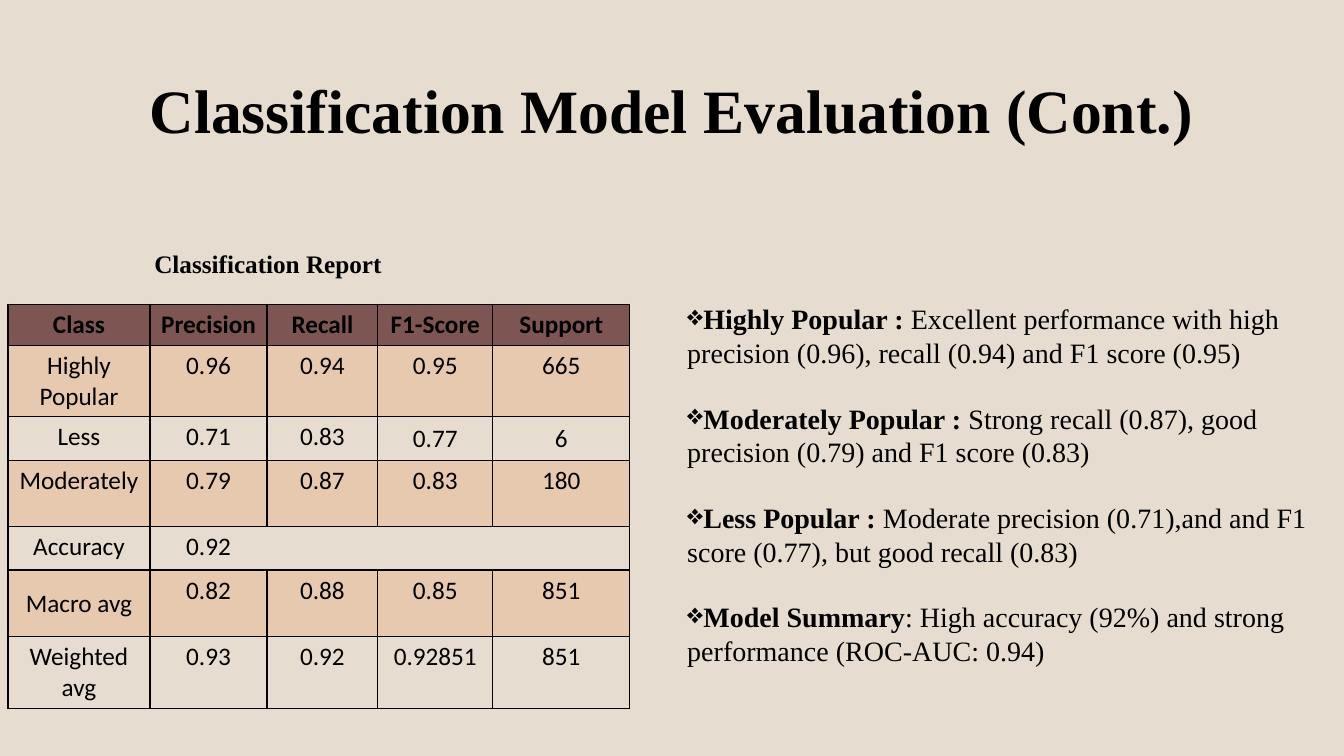
import pptx
import pptx.util
import pptx.dml.color
import pptx.enum.shapes
import pptx.enum.text
import pptx.oxml.ns
import lxml.etree

Cm = pptx.util.Cm
Pt = pptx.util.Pt
CENTER = pptx.enum.text.PP_ALIGN.CENTER
MIDDLE = pptx.enum.text.MSO_ANCHOR.MIDDLE
qn = pptx.oxml.ns.qn
SERIF = "Times New Roman"
COLORS = {"background": "E6DDD0", "text": "000000", "header": "7D5653", "band": "ED7D31"}


def add_run(paragraph, text, font, size, bold):
    run = paragraph.add_run()
    run.text = text
    run.font.name = font
    run.font.size = Pt(size)
    run.font.bold = bold
    run.font.color.rgb = pptx.dml.color.RGBColor.from_string(COLORS["text"])


def add_panel(left, top, width, height):
    panel = slide.shapes.add_shape(
        pptx.enum.shapes.MSO_SHAPE.RECTANGLE, Cm(left), Cm(top), Cm(width), Cm(height))
    panel.shadow.inherit = False
    panel.fill.solid()
    panel.fill.fore_color.rgb = pptx.dml.color.RGBColor.from_string(COLORS["background"])
    panel.line.fill.background()
    panel.text_frame.word_wrap = True
    panel.text_frame.vertical_anchor = MIDDLE
    return panel.text_frame


presentation = pptx.Presentation()
presentation.slide_width = Cm(33.87)
presentation.slide_height = Cm(19.05)
slide = presentation.slides.add_slide(presentation.slide_layouts[5])
slide.background.fill.solid()
slide.background.fill.fore_color.rgb = pptx.dml.color.RGBColor.from_string(COLORS["background"])

title = slide.shapes.title
title.left, title.top, title.width, title.height = Cm(2.33), Cm(1.01), Cm(29.21), Cm(3.68)
title.text_frame.vertical_anchor = MIDDLE
title_paragraph = title.text_frame.paragraphs[0]
title_paragraph.alignment = CENTER
title_paragraph.line_spacing = 0.9
add_run(title_paragraph, "Classification Model Evaluation (Cont.)", SERIF, 44, True)

report = [
    ["Class", "Precision", "Recall", "F1-Score", "Support"],
    ["Highly Popular", "0.96", "0.94", "0.95", "665"],
    ["Less", "0.71", "0.83", "0.77", "6"],
    ["Moderately", "0.79", "0.87", "0.83", "180"],
    ["Accuracy", "0.92", "", "", ""],
    ["Macro avg", "0.82", "0.88", "0.85", "851"],
    ["Weighted avg", "0.93", "0.92", "0.92851", "851"],
]
column_widths = [3.58, 2.95, 2.79, 2.9, 3.45]
row_heights = [0.97, 1.68, 1.09, 1.68, 1.09, 1.68, 1.68]
accuracy_row = 4
middle_cells = {(0, 3), (2, 3), (2, 4), (5, 0), (6, 0)}

table = slide.shapes.add_table(
    len(report), len(column_widths), Cm(0.2), Cm(7.67),
    Cm(sum(column_widths)), Cm(sum(row_heights))).table
table.horz_banding = False
for column, width in zip(table.columns, column_widths):
    column.width = Cm(width)
for row, height in zip(table.rows, row_heights):
    row.height = Cm(height)

for row_index, values in enumerate(report):
    for column_index, value in enumerate(values):
        cell = table.cell(row_index, column_index)
        cell.margin_left = cell.margin_right = Cm(0.17)
        if (row_index, column_index) in middle_cells:
            cell.vertical_anchor = MIDDLE
        paragraph = cell.text_frame.paragraphs[0]
        paragraph.alignment = CENTER
        if value:
            add_run(paragraph, value, "Calibri", 18, row_index == 0)

        open_sides = set()
        if row_index == accuracy_row and column_index > 1:
            open_sides.add("lnL")
        if row_index == accuracy_row and 1 <= column_index < 4:
            open_sides.add("lnR")
        properties = cell._tc.get_or_add_tcPr()
        for side in ("lnL", "lnR", "lnT", "lnB"):
            border = lxml.etree.SubElement(properties, qn("a:" + side), w=str(Pt(1)))
            if side in open_sides:
                lxml.etree.SubElement(border, qn("a:noFill"))
            else:
                line_fill = lxml.etree.SubElement(border, qn("a:solidFill"))
                lxml.etree.SubElement(line_fill, qn("a:srgbClr"), val=COLORS["text"])

        if row_index and row_index % 2 == 0:
            cell.fill.background()
            continue
        cell.fill.solid()
        color = COLORS["band"] if row_index else COLORS["header"]
        cell.fill.fore_color.rgb = pptx.dml.color.RGBColor.from_string(color)
        if row_index:
            band_color = properties.find(qn("a:solidFill")).find(qn("a:srgbClr"))
            lxml.etree.SubElement(band_color, qn("a:alpha"), val="20000")

findings = [
    ("Highly Popular :",
     " Excellent performance with high precision (0.96), recall (0.94) and F1 score (0.95)"),
    ("Moderately Popular :", " Strong recall (0.87), good precision (0.79) and F1 score (0.83)"),
    ("Less Popular :",
     " Moderate precision (0.71),and and F1 score (0.77), but good recall (0.83)"),
    ("Model Summary", ": High accuracy (92%) and strong performance (ROC-AUC: 0.94)"),
]
findings_frame = add_panel(17.07, 7.29, 16.8, 11.46)
findings_frame.margin_bottom = Cm(1.75)
for index, (label, detail) in enumerate(findings):
    paragraph = findings_frame.paragraphs[0] if index == 0 else findings_frame.add_paragraph()
    paragraph.alignment = pptx.enum.text.PP_ALIGN.LEFT
    if index:
        paragraph.space_before = Pt(23)
    paragraph_properties = paragraph._p.get_or_add_pPr()
    lxml.etree.SubElement(paragraph_properties, qn("a:buChar"), char="❖")
    add_run(paragraph, label, SERIF, 20, True)
    add_run(paragraph, detail, SERIF, 20, False)

caption = add_panel(2.03, 6.12, 9.45, 1.02).paragraphs[0]
caption.alignment = CENTER
add_run(caption, "Classification Report", SERIF, 18, True)

presentation.save("out.pptx")
